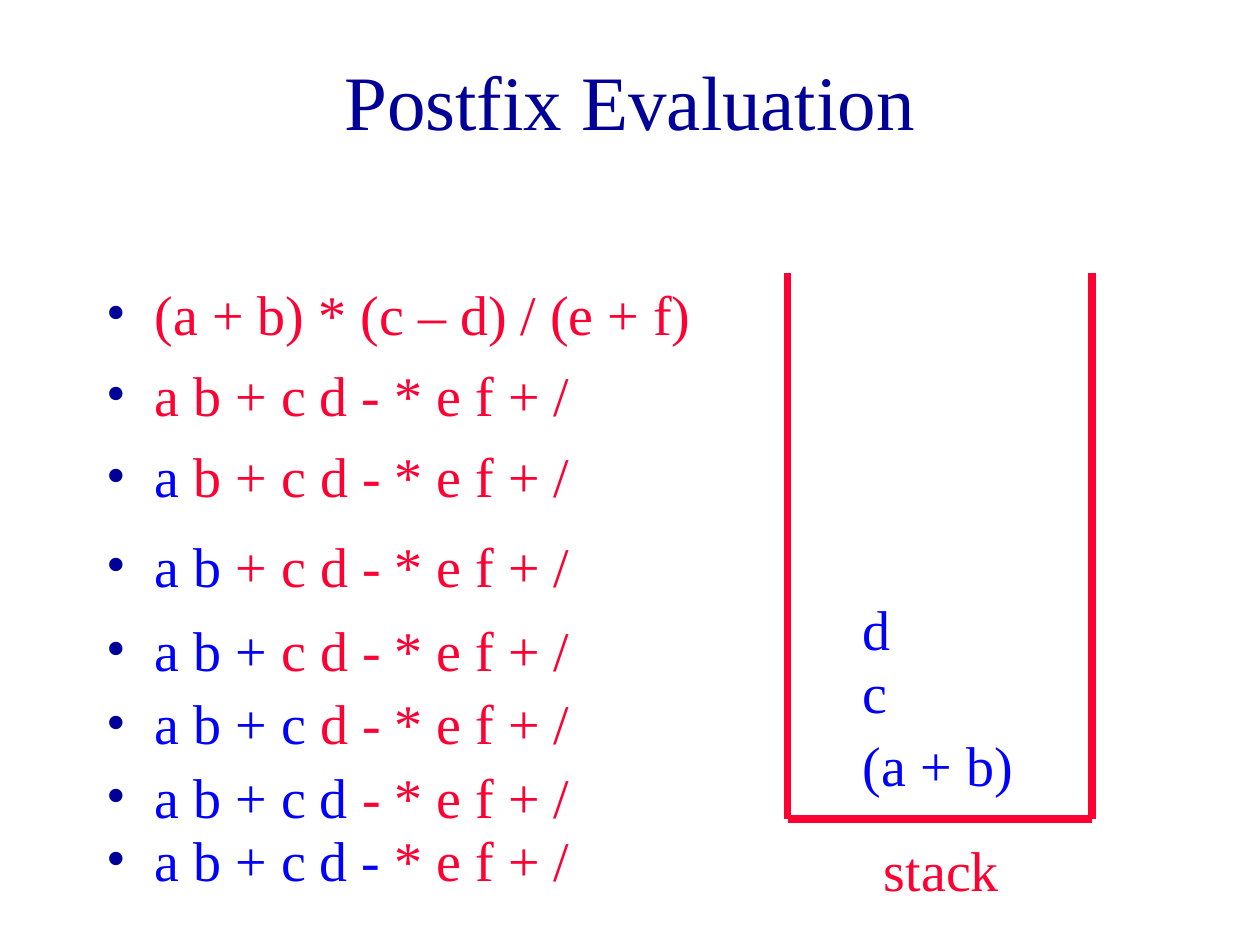
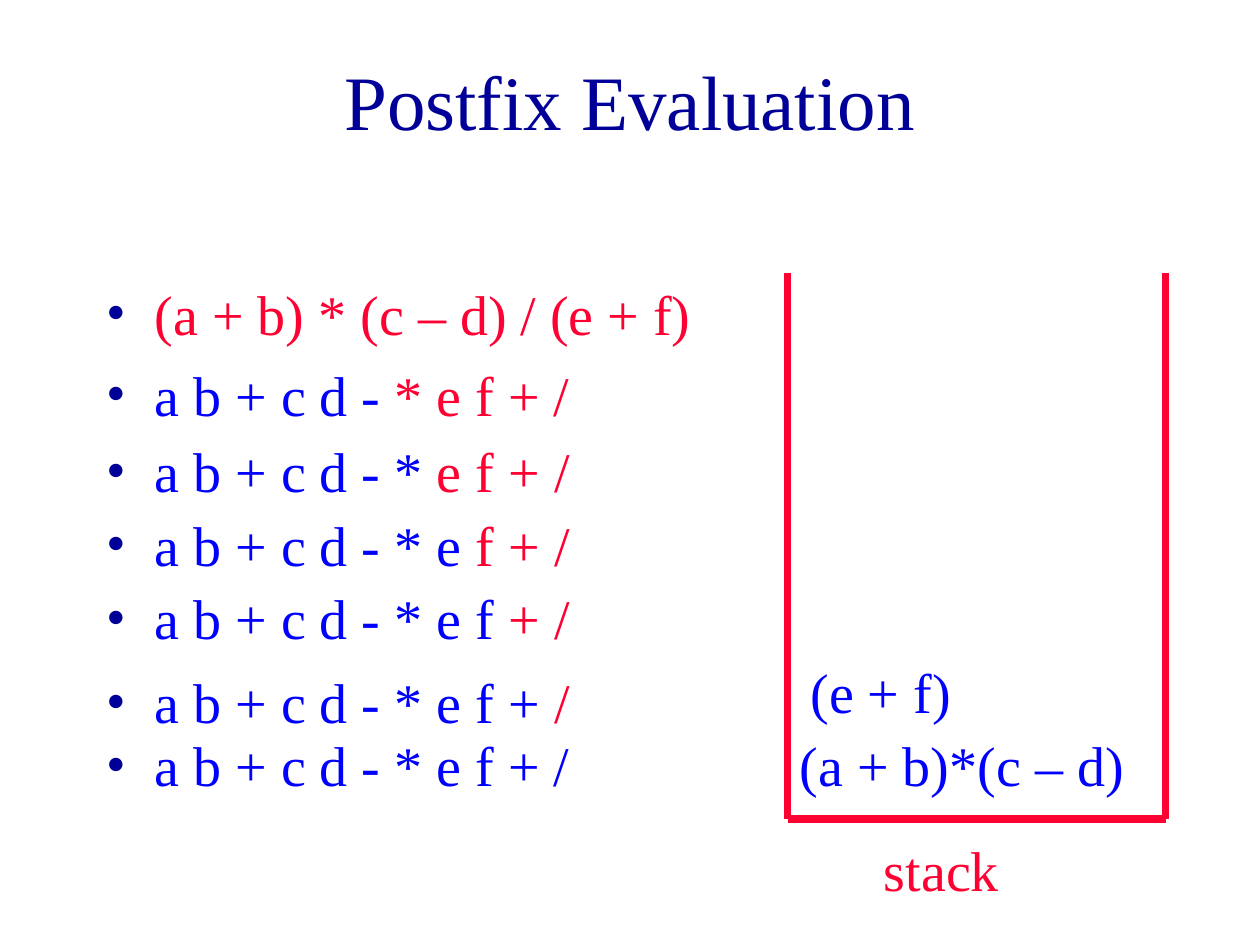
from lxml import etree
from pptx import Presentation
from pptx import util as u
from pptx.dml.color import RGBColor
from pptx.enum import shapes, text
from pptx.oxml.ns import qn

# Content: tops, lefts and widths count grid units of 1/12 inch
TITLE = "Postfix Evaluation"
INFIX = "(a + b) * (c – d) / (e + f)"
POSTFIX = "a b + c d - * e f + /".split()
SLIDES = [
    {
        # (top, height, tokens already read on each line; None is the infix line)
        "steps": [(26, 25, [None, 0, 1]), (50, 8, [2]), (58, 8, [3]),
                  (65, 8, [4]), (72, 8, [5]), (78, 8, [6])],
        "stack_right": 104,
        # (left, top, width, value), bottom of the stack first
        "stack": [(81, 69, 20, "(a + b)"), (81, 62, 20, "c"), (81, 56, 20, "d")],
    },
    {
        "steps": [(26, 17, [None, 6]), (41, 8, [7]), (48, 8, [8]),
                  (55, 8, [9]), (63, 8, [10]), (69, 8, [11])],
        "stack_right": 111,
        "stack": [(75, 69, 36, "(a + b)*(c – d)"), (76, 62, 20, "(e + f)")],
    },
]

# Shared look
NAVY = RGBColor(0x00, 0x00, 0x99)
RED = RGBColor(0xFF, 0x00, 0x33)
BLUE = RGBColor(0x00, 0x00, 0xFF)
FONT = "Times New Roman"
UNIT = u.Inches(1) // 12
LEFT, STEP_WIDTH = 9, 59
STACK_LEFT, STACK_TOP, STACK_BOTTOM = 75, 26, 78
VALUE_HEIGHT = 7.68
INDENT = u.Inches(0.38)


def place(part, left, top, width, height):
    part.left, part.top, part.width, part.height = (
        int(units * UNIT) for units in (left, top, width, height))


def add_span(para, words, color, size=32):
    span = para.add_run()
    span.text = words
    span.font.name, span.font.size = FONT, u.Pt(size)
    span.font.color.rgb = color


def add_box(page, left, top, width, height):
    box = page.shapes.add_textbox(0, 0, 0, 0)
    place(box, left, top, width, height)
    box.text_frame.word_wrap = True
    return box.text_frame


def add_label(page, left, top, width, words, color):
    para = add_box(page, left, top, width, VALUE_HEIGHT).paragraphs[0]
    para.space_before = u.Pt(20)
    add_span(para, words, color)


def add_bullet(para):
    para.space_before = u.Pt(8)
    props = para._p.get_or_add_pPr()
    props.set("marL", str(INDENT))
    props.set("indent", str(-INDENT))
    color = etree.SubElement(props, qn("a:buClr"))
    etree.SubElement(color, qn("a:srgbClr"), val=str(NAVY))
    etree.SubElement(props, qn("a:buFont"), typeface=FONT)
    etree.SubElement(props, qn("a:buChar"), char="•")


def add_steps(page, top, height, counts):
    frame = add_box(page, LEFT, top, STEP_WIDTH, height)
    for index, count in enumerate(counts):
        para = frame.add_paragraph() if index else frame.paragraphs[0]
        add_bullet(para)
        if count is None:
            add_span(para, INFIX, RED)
            continue
        done, rest = " ".join(POSTFIX[:count]), " ".join(POSTFIX[count:])
        if done:
            add_span(para, done, BLUE)
        if rest:
            add_span(para, " " + rest if done else rest, RED)


def add_stack(page, right):
    corners = [(STACK_LEFT, STACK_TOP), (STACK_LEFT, STACK_BOTTOM),
               (right, STACK_BOTTOM), (right, STACK_TOP)]
    for start, end in zip(corners, corners[1:]):
        wall = page.shapes.add_connector(
            shapes.MSO_CONNECTOR.STRAIGHT, *(n * UNIT for n in start + end))
        wall.line.color.rgb, wall.line.width = RED, u.Pt(4.5)
        etree.SubElement(wall._element.spPr, qn("a:effectLst"))
    add_label(page, 83, 79, 15, "stack", RED)


def add_title(page):
    title = page.shapes.title
    place(title, LEFT, 2, 102, 15)
    frame = title.text_frame
    frame.auto_size = text.MSO_AUTO_SIZE.NONE
    frame.vertical_anchor = text.MSO_ANCHOR.MIDDLE
    frame.paragraphs[0].alignment = text.PP_ALIGN.CENTER
    add_span(frame.paragraphs[0], TITLE, NAVY, 44)


def main():
    deck = Presentation()
    deck.slide_width, deck.slide_height = u.Inches(10), u.Inches(7.5)
    for content in SLIDES:
        page = deck.slides.add_slide(deck.slide_layouts[5])
        add_title(page)
        add_stack(page, content["stack_right"])
        for step in content["steps"]:
            add_steps(page, *step)
        for value in content["stack"]:
            add_label(page, *value, BLUE)
    deck.save("out.pptx")


if __name__ == "__main__":
    main()
